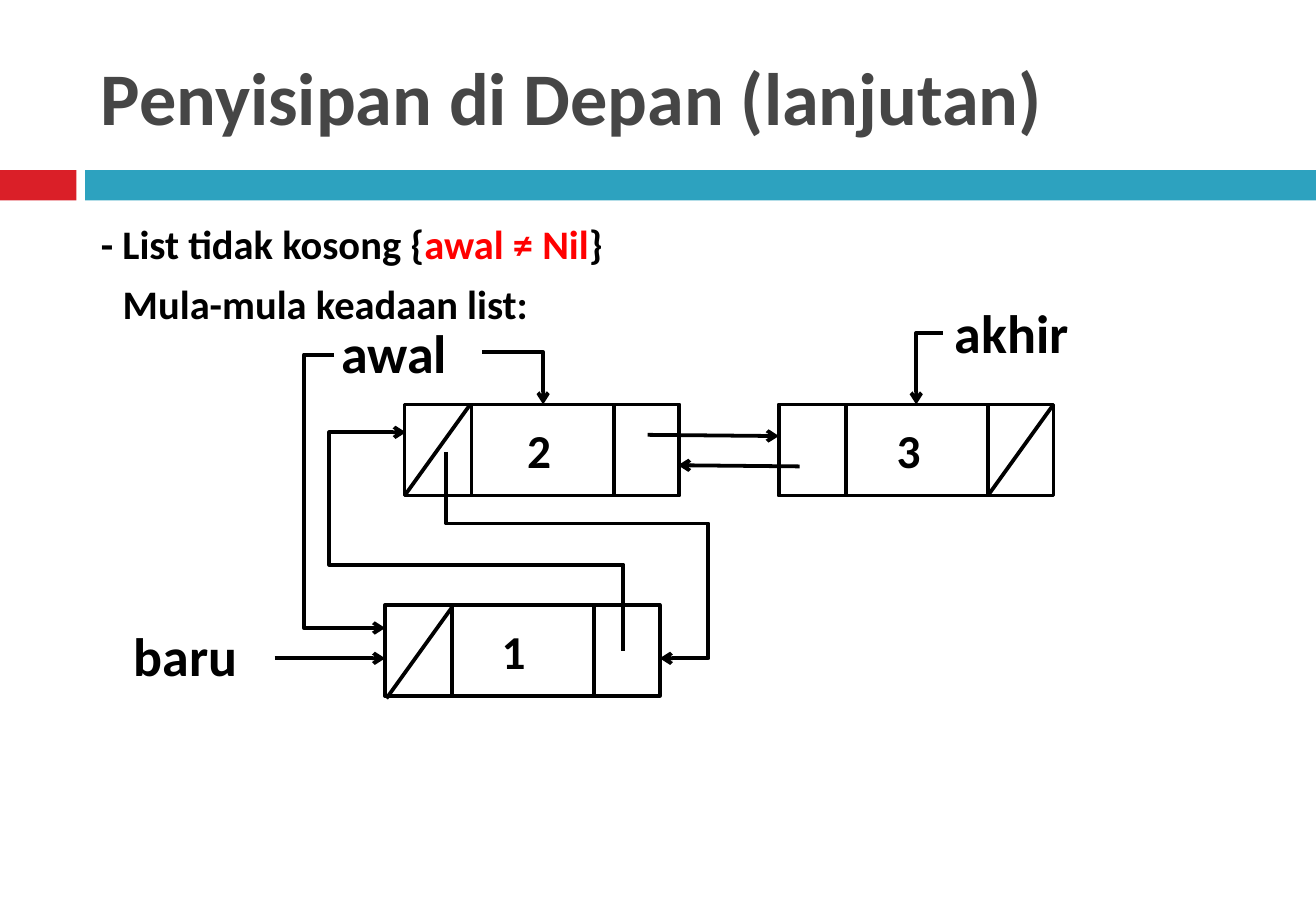
from dataclasses import dataclass

from lxml import etree
from pptx import Presentation
from pptx.dml.color import RGBColor
from pptx.enum.shapes import MSO_CONNECTOR, MSO_SHAPE
from pptx.enum.text import MSO_ANCHOR, MSO_AUTO_SIZE, PP_ALIGN
from pptx.oxml.ns import qn
from pptx.util import Inches, Pt

STRAIGHT = MSO_CONNECTOR.STRAIGHT
RECTANGLE = MSO_SHAPE.RECTANGLE
MIDDLE, TOP = MSO_ANCHOR.MIDDLE, MSO_ANCHOR.TOP
LEFT = PP_ALIGN.LEFT
FIT_SHAPE, FIT_NONE = MSO_AUTO_SIZE.SHAPE_TO_FIT_TEXT, MSO_AUTO_SIZE.NONE


@dataclass(frozen=True)
class Theme:
    """Colours, type sizes and line width of the slide."""
    font: str = "Calibri"
    ink: str = "000000"
    paper: str = "FFFFFF"
    heading: str = "464646"
    highlight: str = "FF0000"
    red_bar: str = "DA1F28"
    blue_bar: str = "2DA2BF"
    title_size: int = 44
    body_size: int = 24
    label_size: int = 32
    number_size: int = 28
    line_width: float = 2.25


THEME = Theme()
NODE_WIDTH, NODE_HEIGHT = 2.26, 0.75
CELL_EDGES = (0.55, 1.72)


def place(box, left, top, width, height):
    """Move and size a box, in inches."""
    box.left, box.top = Inches(left), Inches(top)
    box.width, box.height = Inches(width), Inches(height)


def write(para, text, size, color=THEME.ink):
    """Add a bold span of text to a paragraph."""
    span = para.add_run()
    span.text = text
    span.font.name = THEME.font
    span.font.size = Pt(size)
    span.font.bold = True
    span.font.color.rgb = RGBColor.from_string(color)


def add_bar(page, left, width, color):
    """Draw one part of the band below the title."""
    bar = page.shapes.add_shape(RECTANGLE, Inches(left), Inches(1.4), Inches(width), Inches(0.25))
    bar.shadow.inherit = False
    bar.fill.solid()
    bar.fill.fore_color.rgb = RGBColor.from_string(color)
    bar.line.fill.background()


def add_title(page, text):
    """Fill the title placeholder."""
    title = page.shapes.title
    place(title, 0.73, 0.25, 9.66, 1.08)
    frame = title.text_frame
    frame.auto_size = FIT_NONE
    frame.vertical_anchor = MIDDLE
    para = frame.paragraphs[0]
    para.alignment = LEFT
    write(para, text, THEME.title_size, THEME.heading)


def add_body(page, lines):
    """Fill the body placeholder with (indent, spans) lines."""
    body = page.placeholders[1]
    place(body, 0.73, 1.75, 9.66, 4.92)
    frame = body.text_frame
    frame.auto_size = FIT_NONE
    frame.vertical_anchor = TOP
    for index, (indent, spans) in enumerate(lines):
        para = frame.add_paragraph() if index else frame.paragraphs[0]
        properties = para._p.get_or_add_pPr()
        properties.set("marL", str(Inches(indent)))
        properties.set("indent", "0")
        etree.SubElement(properties, qn("a:buNone"))
        para.space_before = Pt(7 if index else 0)
        for text, color in spans:
            write(para, text, THEME.body_size, color)


def add_label(page, text, left, top, width=1.26, height=0.64, size=THEME.label_size):
    """Place a bold label."""
    box = page.shapes.add_textbox(Inches(left), Inches(top), Inches(width), Inches(height))
    frame = box.text_frame
    frame.word_wrap = True
    frame.auto_size = FIT_SHAPE
    write(frame.paragraphs[0], text, size)


def style_line(line, arrow=False):
    """Give a line its colour, width and optional arrowhead."""
    line.color.rgb = RGBColor.from_string(THEME.ink)
    line.width = Pt(THEME.line_width)
    if arrow:
        etree.SubElement(line._get_or_add_ln(), qn("a:tailEnd"), type="arrow")


def add_line(page, start, end, arrow=False):
    """Draw a straight line between two points."""
    x1, y1, x2, y2 = (Inches(value) for value in (*start, *end))
    connector = page.shapes.add_connector(STRAIGHT, x1, y1, x2, y2)
    style_line(connector.line, arrow)
    etree.SubElement(connector._element.spPr, qn("a:effectLst"))


def add_route(page, start, *corners):
    """Draw an angled arrow through its corner points."""
    builder = page.shapes.build_freeform(Inches(start[0]), Inches(start[1]))
    builder.add_line_segments([(Inches(x), Inches(y)) for x, y in corners], close=False)
    route = builder.convert_to_shape()
    route.shadow.inherit = False
    route.fill.background()
    style_line(route.line, arrow=True)


def add_node(page, number, left, top, number_left, slash_left=0, slash_drop=0):
    """Draw a three-cell list node with one crossed cell."""
    box = page.shapes.add_shape(
        RECTANGLE, Inches(left), Inches(top), Inches(NODE_WIDTH), Inches(NODE_HEIGHT))
    box.shadow.inherit = False
    box.fill.solid()
    box.fill.fore_color.rgb = RGBColor.from_string(THEME.paper)
    style_line(box.line)
    bottom = top + NODE_HEIGHT
    for edge in CELL_EDGES:
        add_line(page, (left + edge, top), (left + edge, bottom))
    slash = left + slash_left
    add_line(page, (slash + 0.54, top + slash_drop), (slash, bottom + slash_drop))
    add_label(page, number, number_left, top + 0.09, 0.63, 0.57, THEME.number_size)


def main():
    """Build the slide and save it."""
    deck = Presentation()
    deck.slide_width, deck.slide_height = Inches(10.83), Inches(7.5)
    page = deck.slides.add_slide(deck.slide_layouts[1])

    add_bar(page, 0, 0.63, THEME.red_bar)
    add_bar(page, 0.7, 10.13, THEME.blue_bar)
    add_title(page, "Penyisipan di Depan (lanjutan)")
    add_body(page, [
        (0, [("- List tidak kosong {", THEME.ink), ("awal ≠ Nil", THEME.highlight),
             ("}", THEME.ink)]),
        (0.18, [("Mula-mula keadaan list:", THEME.ink)]),
    ])

    add_node(page, "2", 3.33, 3.33, 4.24)
    add_node(page, "3", 6.41, 3.33, 7.28, slash_left=CELL_EDGES[1])
    add_node(page, "1", 3.17, 4.98, 4.03, slash_left=0.01, slash_drop=0.02)

    for text, left, top in (("awal", 2.71, 2.58), ("akhir", 7.76, 2.42), ("baru", 1, 5.08)):
        add_label(page, text, left, top)

    add_line(page, (5.33, 3.58), (6.41, 3.59), arrow=True)
    add_line(page, (6.58, 3.84), (5.58, 3.83), arrow=True)
    add_line(page, (2.26, 5.42), (3.17, 5.42), arrow=True)
    add_route(page, (3.97, 2.9), (4.47, 2.9), (4.47, 3.33))
    add_route(page, (7.76, 2.74), (7.54, 2.74), (7.54, 3.33))
    add_route(page, (5.13, 5.36), (5.13, 4.65), (2.71, 4.65), (2.71, 3.56), (3.34, 3.56))
    add_route(page, (3.67, 3.72), (3.67, 4.31), (5.83, 4.31), (5.83, 5.42), (5.43, 5.42))
    add_route(page, (2.75, 2.92), (2.5, 2.92), (2.5, 5.17), (3.17, 5.17))

    deck.save("out.pptx")


if __name__ == "__main__":
    main()
